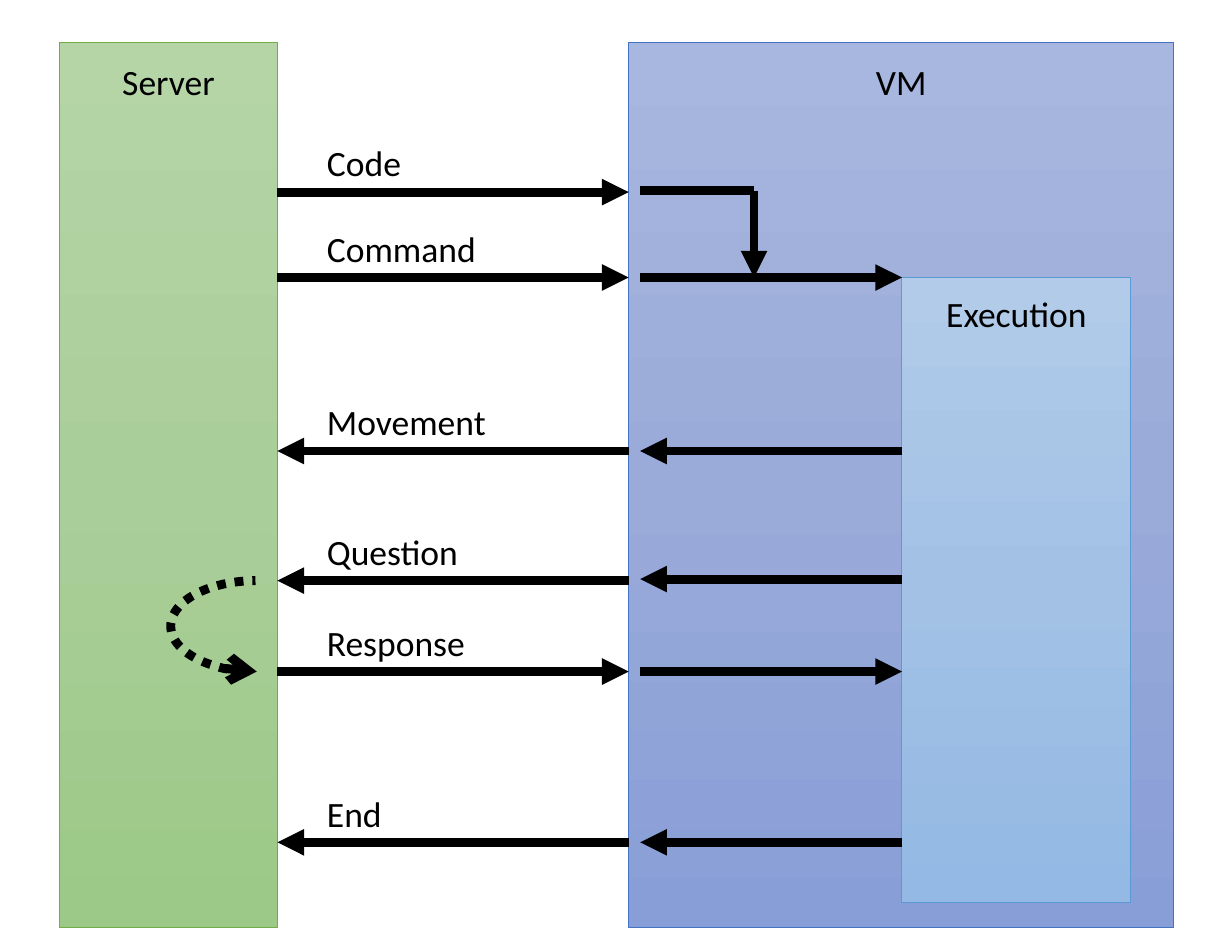
from copy import deepcopy

from lxml import etree
from pptx import Presentation
from pptx.dml.color import RGBColor
from pptx.enum.dml import MSO_LINE
from pptx.enum.shapes import MSO_CONNECTOR, MSO_SHAPE
from pptx.enum.text import MSO_ANCHOR, PP_ALIGN
from pptx.oxml.ns import qn
from pptx.util import Pt

RECT, ARC = MSO_SHAPE.RECTANGLE, MSO_SHAPE.ARC
STRAIGHT = MSO_CONNECTOR.STRAIGHT
DOT = MSO_LINE.ROUND_DOT
TOP, MID = MSO_ANCHOR.TOP, PP_ALIGN.CENTER

BLACK = RGBColor(0, 0, 0)
GREEN = [RGBColor.from_string(c) for c in ("B5D5A7", "AACE9A", "9CC987")]
BLUE = [RGBColor.from_string(c) for c in ("A8B7DF", "9AABD9", "889ED7")]
SKY = [RGBColor.from_string(c) for c in ("B1CBE9", "A3C1E5", "93B9E4")]
GREEN_EDGE = RGBColor(0x70, 0xAD, 0x47)
BLUE_EDGE = RGBColor(0x44, 0x72, 0xC4)
SKY_EDGE = RGBColor(0x5B, 0x9B, 0xD5)

FONT = {"name": "Calibri", "size": Pt(18)}
BOX_TEXT = {"word_wrap": True, "vertical_anchor": TOP}
LABEL_TEXT = {"word_wrap": True}

SERVER, VM, EXEC = 140.4, 318.2, 456.5
INNER, BEND = 324, 381.6
LIFT = 29.2

ROWS = [
    ("Code", 97.2, 96.5, True),
    ("Command", 140.4, 140.4, True),
    ("Movement", 228.2, 228.2, False),
    ("Question", 293.8, 293, False),
    ("Response", 339.8, 339.8, True),
    ("End", 426.2, 426.2, False),
]


def apply(target, values):
    """Set every named value on the target."""
    for name, value in values.items():
        setattr(target, name, value)


def write(frame, text, values, align=None):
    """Put one line of text in a frame."""
    apply(frame, values)
    para = frame.paragraphs[0]
    para.alignment = align
    run = para.add_run()
    run.text = text
    apply(run.font, FONT)
    run.font.color.rgb = BLACK


def stroke(item, color, width):
    """Give an item a solid line."""
    item.line.color.rgb = color
    item.line.width = Pt(width)


def tip(item, end, kind):
    """Add an arrowhead to one end of a line."""
    line = item.line._get_or_add_ln()
    etree.SubElement(line, qn(f"a:{end}"), type=kind)


def shade(shape, colors):
    """Fill a shape from top to bottom with three colours."""
    fill = shape.fill
    fill.gradient()
    fill.gradient_angle = 270
    stops = shape._element.spPr.xpath(".//a:gsLst")[0]
    stops.insert(1, deepcopy(stops[0]))
    for stop, color, place in zip(fill.gradient_stops, colors, (0, 0.5, 1)):
        stop.color.rgb = color
        stop.position = place


def box(slide, text, area, colors, edge, inset):
    """Draw a shaded box titled at its top."""
    shape = slide.shapes.add_shape(RECT, *map(Pt, area))
    shape.shadow.inherit = False
    shade(shape, colors)
    stroke(shape, edge, 0.5)
    write(shape.text_frame, text, {**BOX_TEXT, "margin_top": Pt(inset)}, MID)


def label(slide, text, y):
    """Write a message name above its arrow."""
    area = map(Pt, (158.4, y - LIFT, 150, 28.8))
    frame = slide.shapes.add_textbox(*area).text_frame
    write(frame, text, LABEL_TEXT)


def link(slide, start, end, head=True):
    """Draw a thick line, with an arrowhead if wanted."""
    line = slide.shapes.add_connector(STRAIGHT, *map(Pt, start + end))
    stroke(line, BLACK, 4.5)
    if head:
        tip(line, "tailEnd", "triangle")
    etree.SubElement(line._element.spPr, qn("a:effectLst"))


def span(slide, left, right, y, ahead):
    """Draw a level arrow that points right when ahead."""
    ends = (left, y), (right, y)
    link(slide, *(ends if ahead else ends[::-1]))


def loop(slide):
    """Draw the dotted turn from question to response."""
    arc = slide.shapes.add_shape(ARC, *map(Pt, (86.4, 293.8, 86.4, 46)))
    arc.adjustments[0], arc.adjustments[1] = 161.5, 53.53
    arc.rotation = 180
    arc.shadow.inherit = False
    arc.fill.background()
    stroke(arc, BLACK, 4.5)
    arc.line.dash_style = DOT
    tip(arc, "headEnd", "arrow")


def main():
    """Build the message flow slide."""
    deck = Presentation()
    apply(deck, {"slide_width": Pt(623.5), "slide_height": Pt(481.7)})
    slide = deck.slides.add_slide(deck.slide_layouts[6])
    box(slide, "Server", (30.2, 21.4, 110.2, 448), GREEN, GREEN_EDGE, 9)
    box(slide, "VM", (VM, 21.4, 275.8, 448), BLUE, BLUE_EDGE, 9)
    box(slide, "Execution", (EXEC, 140.4, 115.9, 316.1), SKY, SKY_EDGE, 7.5)
    for text, outer, inner, ahead in ROWS:
        span(slide, SERVER, VM, outer, ahead)
        label(slide, text, outer)
        if text != "Code":
            span(slide, INNER, EXEC, inner, ahead)
    code, command = ROWS[0][2], ROWS[1][2]
    link(slide, (INNER, code), (BEND, code), head=False)
    link(slide, (BEND, code), (BEND, command))
    loop(slide)
    deck.save("out.pptx")


main()
